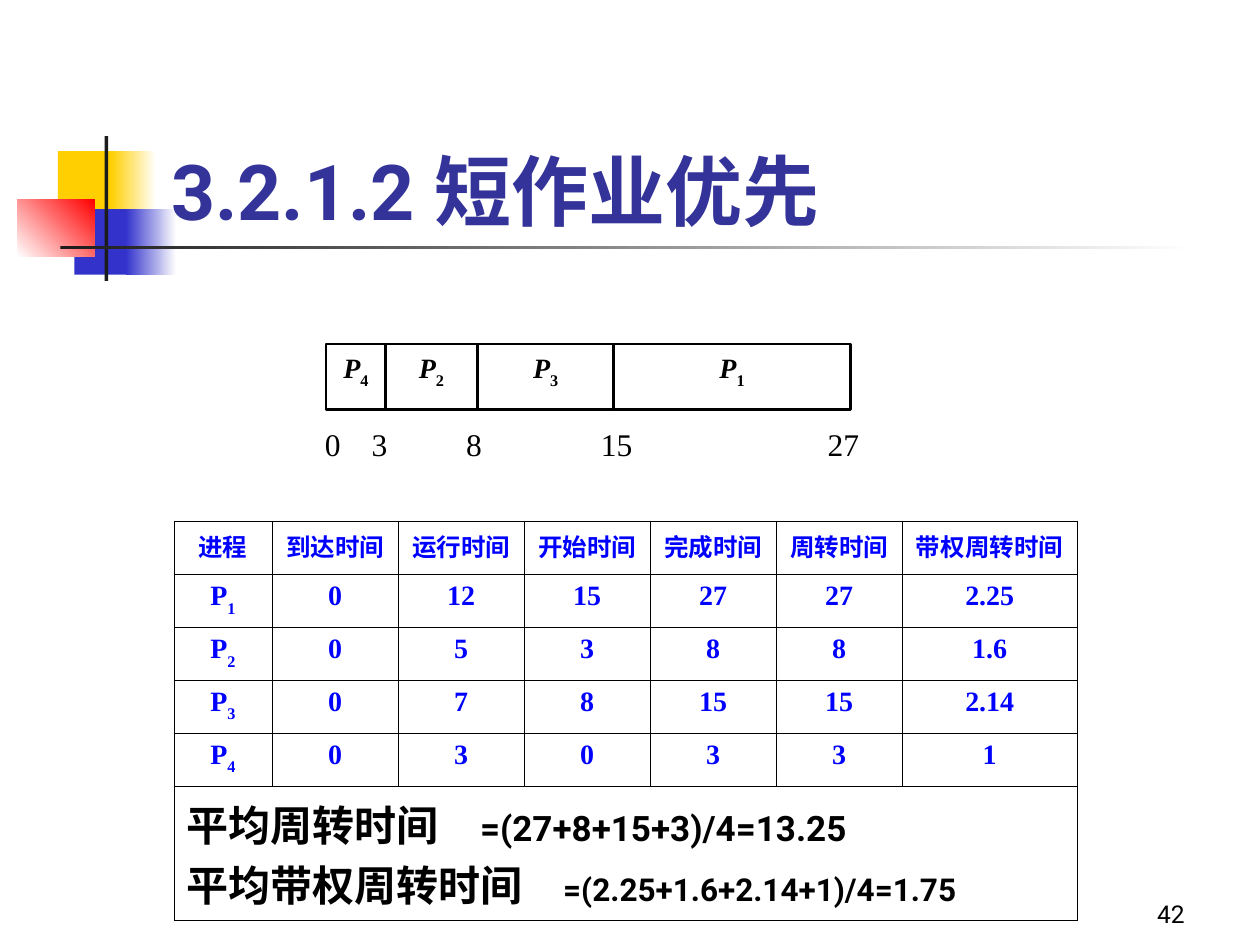
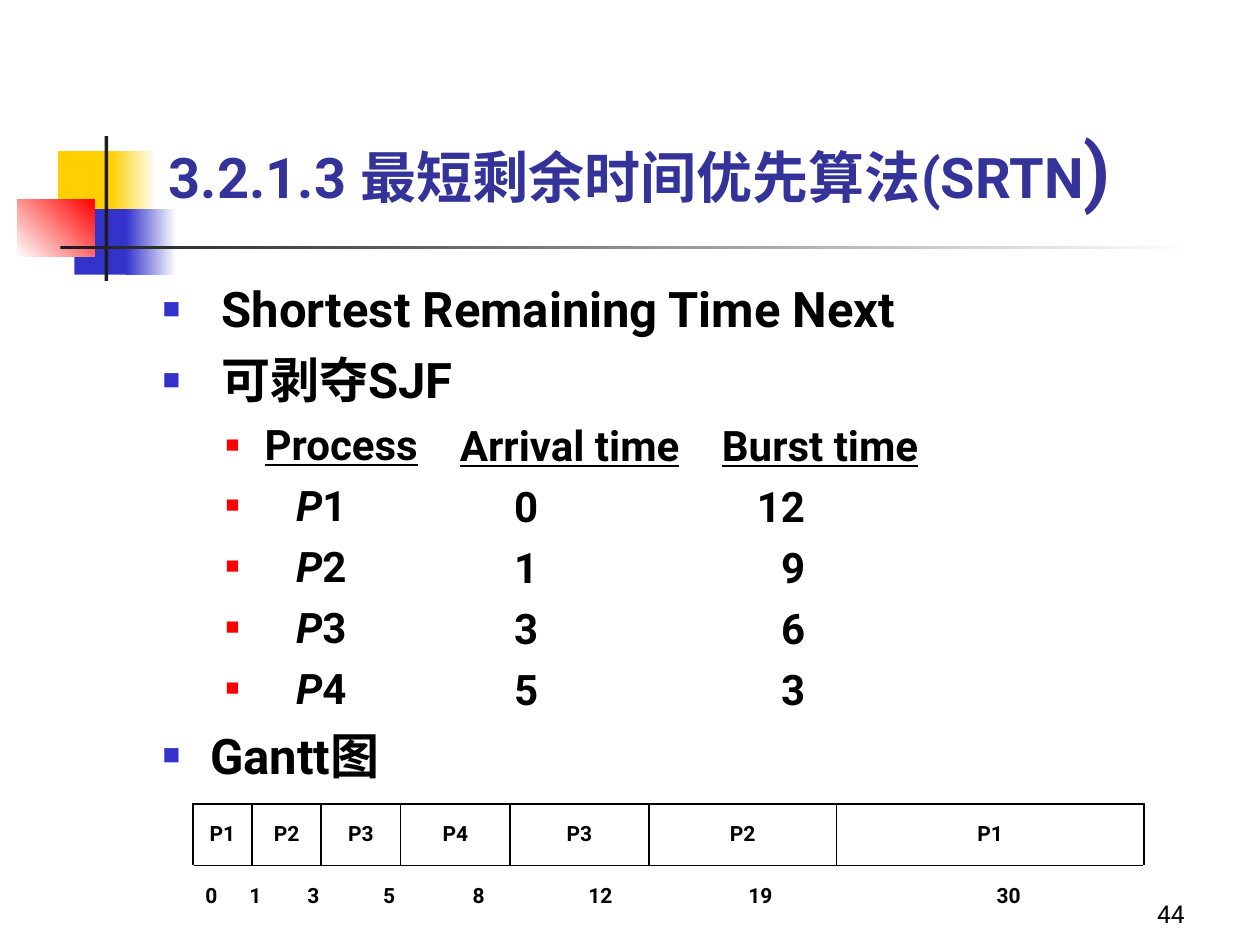
import pptx
import pptx.util
import pptx.dml.color
import pptx.enum.text
import pptx.enum.shapes
import pptx.oxml
import pptx.oxml.ns
from pptx.util import Inches, Pt

BLACK, WHITE, NAVY, BLUE = "000000", "FFFFFF", "333399", "0000FF"
INDIGO, RED, YELLOW, CHARCOAL = "3333CC", "FF0000", "FFCF01", "1C1C1C"
SANS, SERIF = "Roboto", "Times New Roman"
ALIGN = pptx.enum.text.PP_ALIGN
ANCHOR = pptx.enum.text.MSO_ANCHOR

DECORATION = [
    ((0.46, 1.2, 0.48, 0.52), [YELLOW], 0),
    ((0.88, 1.2, 0.36, 0.52), [YELLOW, WHITE], 0),
    ((0.59, 1.66, 0.46, 0.52), [INDIGO], 0),
    ((1, 1.66, 0.4, 0.52), [INDIGO, WHITE], 0),
    ((0.14, 1.58, 0.61, 0.46), [WHITE, RED], 45),
    ((0.83, 1.08, 0.03, 1.15), [CHARCOAL], 0),
    ((0.48, 1.95, 9, 0.03), [CHARCOAL, WHITE], 0),
]

SJF_TITLE = [("3.2.1.2 短作业优先", {"size": 44})]
SJF_GANTT = ["4", "2", "3", "1"]
SJF_GANTT_EDGES = [2.59, 3.06, 3.79, 4.87, 6.75]
SJF_TIMES = ["0", "3", "8", "15", "27"]
SJF_TIME_TABS = [0.37, 1.12, 2.19, 3.99]
SJF_COLUMNS = [0.78, 1, 1, 1, 1, 1, 1.39]
SJF_HEADER = ["进程", "到达时间", "运行时间", "开始时间", "完成时间", "周转时间", "带权周转时间"]
SJF_ROWS = [
    ["1", "0", "12", "15", "27", "27", "2.25"],
    ["2", "0", "5", "3", "8", "8", "1.6"],
    ["3", "0", "7", "8", "15", "15", "2.14"],
    ["4", "0", "3", "0", "3", "3", "1"],
]
SJF_AVERAGES = [
    ("平均周转时间", "=(27+8+15+3)/4=13.25", 20, 2.33),
    ("平均带权周转时间", "=(2.25+1.6+2.14+1)/4=1.75", 18, 2.99),
]

SRTN_TITLE = [("3.2.1.3 最短剩余时间优先算法(SRTN", {"size": 32}), (")", {"size": 44})]
SRTN_LIST = [
    (0, 0.47, [("Shortest Remaining Time Next", {})]),
    (0, 0.47, [("可剥夺SJF", {})]),
    (1, 0.81, [("Process", {"underline": True})]),
    *[(1, 1.06, [("P", {"italic": True}), (number, {})]) for number in "1234"],
    (0, 0.38, [("Gantt图", {})]),
]
LIST_LEVELS = [
    {"size": 28, "bullet": 0, "color": INDIGO, "scale": 60, "before": 7},
    {"size": 24, "bullet": 0.5, "color": RED, "scale": 55, "before": 6},
]
SRTN_TIMES_HEADER = ["Arrival time", "Burst time"]
SRTN_TIMES = [("0", "12"), ("1", "9"), ("3", "6"), ("5", "3")]
SRTN_GANTT = ["P1", "P2", "P3", "P4", "P3", "P2", "P1"]
SRTN_COLUMNS = [0.47, 0.55, 0.63, 0.87, 1.1, 1.49, 2.44]
SRTN_MARKS = ["0", "1", "3", "5", "8", "12", "19", "30"]
SRTN_MARK_TABS = [0.35, 0.81, 1.41, 2.12, 3.04, 4.31, 6.28]


def rgb(color):
    return pptx.dml.color.RGBColor.from_string(color)


def element(xml):
    return pptx.oxml.parse_xml(xml.replace(" ", f' {pptx.oxml.ns.nsdecls("a")} ', 1))


def place(shape, box):
    shape.left, shape.top, shape.width, shape.height = map(Inches, box)


def write(paragraph, runs, size, font=SANS, color=BLACK, bold=True):
    for text, style in runs:
        run = paragraph.add_run()
        run.text = text
        run.font.name = font
        run.font.size = Pt(style.get("size", size))
        run.font.bold = bold
        run.font.italic = style.get("italic", False)
        run.font.underline = style.get("underline", False)
        run.font.color.rgb = rgb(color)
        if style.get("subscript"):
            run.font._element.set("baseline", "-30000")


def process_runs(number, italic=False):
    return [("P", {"italic": italic}), (number, {"subscript": True})]


def set_tabs(paragraph, stops):
    tabs = "".join(f'<a:tab pos="{Inches(at)}" algn="{side}"/>' for at, side in stops)
    paragraph._p.get_or_add_pPr().append(element(f"<a:tabLst >{tabs}</a:tabLst>"))


def left_tabs(positions):
    return [(position, "l") for position in positions]


def set_bullet(paragraph, margin, level):
    properties = paragraph._p.get_or_add_pPr()
    properties.set("marL", str(Inches(margin)))
    properties.set("indent", str(Inches(level["bullet"] - margin)))
    properties.append(element(f'<a:buClr ><a:srgbClr val="{level["color"]}"/></a:buClr>'))
    properties.append(element(f'<a:buSzPct val="{level["scale"]}000"/>'))
    properties.append(element('<a:buChar char="■"/>'))


def set_insets(text_frame, horizontal, vertical):
    text_frame.margin_left = text_frame.margin_right = Inches(horizontal)
    text_frame.margin_top = text_frame.margin_bottom = Inches(vertical)


def paragraph_at(text_frame, index):
    return text_frame.add_paragraph() if index else text_frame.paragraphs[0]


def add_rectangle(slide, box, colors, angle=0):
    shape = slide.shapes.add_shape(pptx.enum.shapes.MSO_SHAPE.RECTANGLE, *map(Inches, box))
    shape.shadow.inherit = False
    shape.line.fill.background()
    if len(colors) == 1:
        shape.fill.solid()
        shape.fill.fore_color.rgb = rgb(colors[0])
    else:
        shape.fill.gradient()
        shape.fill.gradient_angle = angle
        for stop, color in zip(shape.fill.gradient_stops, colors):
            stop.color.rgb = rgb(color)
    return shape


def add_text_rectangle(slide, box, line_color, line_width, inset, alignment):
    shape = add_rectangle(slide, box, [WHITE])
    shape.line.color.rgb = rgb(line_color)
    shape.line.width = Pt(line_width)
    set_insets(shape.text_frame, 0.1, inset)
    shape.text_frame.vertical_anchor = ANCHOR.TOP
    shape.text_frame.paragraphs[0].alignment = alignment
    return shape.text_frame.paragraphs[0]


def add_text_box(slide, box, inset):
    text_frame = slide.shapes.add_textbox(*map(Inches, box)).text_frame
    text_frame.word_wrap = True
    set_insets(text_frame, *inset)
    return text_frame


def decorate_master(presentation, slide):
    for box, colors, angle in DECORATION:
        shape = add_rectangle(slide, box, colors, angle)
        presentation.slide_master.shapes._spTree.append(shape._element)


def set_title(slide, runs, box, inset=(0.1, 0.05)):
    title = slide.shapes.title
    place(title, box)
    text_frame = title.text_frame
    set_insets(text_frame, *inset)
    text_frame.auto_size = pptx.enum.text.MSO_AUTO_SIZE.NONE
    text_frame.vertical_anchor = ANCHOR.BOTTOM
    text_frame.paragraphs[0].alignment = ALIGN.LEFT
    write(text_frame.paragraphs[0], runs, 44, color=NAVY)


def add_page_number(slide, number):
    text_frame = add_text_box(slide, (7.42, 6.92, 2.08, 0.5), (0.1, 0.05))
    text_frame.vertical_anchor = ANCHOR.BOTTOM
    text_frame.paragraphs[0].alignment = ALIGN.RIGHT
    write(text_frame.paragraphs[0], [(number, {})], 14, bold=False)


def set_borders(cell, widths):
    properties = cell._tc.get_or_add_tcPr()
    for side in "LRTB":
        if side in widths:
            properties.append(element(
                f'<a:ln{side} w="{Pt(widths[side])}"><a:solidFill><a:srgbClr val="{BLACK}"/>'
                f"</a:solidFill></a:ln{side}>"))


def add_grid(slide, left, top, columns, rows, borders):
    frame = slide.shapes.add_table(len(rows), len(columns), Inches(left), Inches(top),
                                   Inches(sum(columns)), Inches(sum(rows)))
    table = frame.table
    table.first_row = table.horz_banding = False
    for column, width in zip(table.columns, columns):
        column.width = Inches(width)
    for row, height, widths in zip(table.rows, rows, borders):
        row.height = Inches(height)
        for cell in row.cells:
            set_borders(cell, widths)
            cell.fill.background()
    last = len(rows) - 1
    table.cell(last, 0).merge(table.cell(last, len(columns) - 1))
    return table


def build_sjf(slide):
    set_title(slide, SJF_TITLE, (1.26, 0.67, 8.52, 1.25))
    times = add_text_rectangle(slide, (2.48, 3.36, 4.49, 0.36), WHITE, 0.75, 0.01, ALIGN.LEFT)
    set_tabs(times, left_tabs(SJF_TIME_TABS))
    write(times, [("\t".join(SJF_TIMES), {})], 18, SERIF, bold=False)
    for number, start, end in zip(SJF_GANTT, SJF_GANTT_EDGES, SJF_GANTT_EDGES[1:]):
        label = add_text_rectangle(slide, (start, 2.73, end - start, 0.52), BLACK, 1.25, 0.05,
                                   ALIGN.CENTER)
        write(label, process_runs(number, italic=True), 16, SERIF)

    thin, thick = 0.45, 0.96
    sides = {"L": thin, "R": thin}
    edges = [thick, thick, thin, thin, thin, thin, thick]
    borders = [{**sides, "T": above, "B": below} for above, below in zip(edges, edges[1:])]
    table = add_grid(slide, 1.38, 4.14, SJF_COLUMNS, [0.42] * 5 + [0.9], borders)
    for row_index, values in enumerate([SJF_HEADER] + SJF_ROWS):
        for column_index, value in enumerate(values):
            paragraph = table.cell(row_index, column_index).text_frame.paragraphs[0]
            paragraph.alignment = ALIGN.CENTER
            is_process = row_index and not column_index
            runs = process_runs(value) if is_process else [(value, {})]
            write(paragraph, runs, 16 if row_index else 14, SERIF, BLUE)
    averages = table.cell(5, 0).text_frame
    for index, (name, formula, size, tab) in enumerate(SJF_AVERAGES):
        paragraph = paragraph_at(averages, index)
        set_tabs(paragraph, left_tabs([tab]))
        write(paragraph, [(name + "\t", {}), (formula, {"size": size})], 24)
    add_page_number(slide, "42")


def build_srtn(slide):
    set_title(slide, SRTN_TITLE, (1.34, 0.97, 7.72, 0.73), (0, 0))
    body = slide.placeholders[1]
    place(body, (1.29, 2.21, 7.72, 4.01))
    set_insets(body.text_frame, 0, 0)
    body.text_frame.auto_size = pptx.enum.text.MSO_AUTO_SIZE.NONE
    for index, (depth, margin, runs) in enumerate(SRTN_LIST):
        level = LIST_LEVELS[depth]
        paragraph = paragraph_at(body.text_frame, index)
        paragraph.level = depth
        set_bullet(paragraph, margin, level)
        paragraph.space_before = Pt(level["before"] if index else 0)
        write(paragraph, runs, level["size"])

    times = add_text_box(slide, (3.65, 3.33, 4, 2.4), (0, 0))
    arrival, burst = [(name, {"underline": True}) for name in SRTN_TIMES_HEADER]
    set_tabs(times.paragraphs[0], left_tabs([2.08]))
    write(times.paragraphs[0], [arrival, ("\t", {}), burst], 24)
    for arrival_time, burst_time in SRTN_TIMES:
        paragraph = times.add_paragraph()
        set_tabs(paragraph, [(0.43, "l"), (2.74, "r")])
        paragraph.space_before = Pt(LIST_LEVELS[1]["before"])
        write(paragraph, [(f"\t{arrival_time}\t{burst_time}", {})], 24)

    borders = [dict.fromkeys("LRTB", 1.08), {"T": 1.08}]
    table = add_grid(slide, 1.53, 6.38, SRTN_COLUMNS, [0.49, 0.51], borders)
    for column_index, process in enumerate(SRTN_GANTT):
        cell = table.cell(0, column_index)
        cell.vertical_anchor = ANCHOR.MIDDLE
        cell.text_frame.paragraphs[0].alignment = ALIGN.CENTER
        write(cell.text_frame.paragraphs[0], [(process, {})], 12)
    cell = table.cell(1, 0)
    cell.vertical_anchor = ANCHOR.MIDDLE
    marks = cell.text_frame.paragraphs[0]
    set_tabs(marks, left_tabs(SRTN_MARK_TABS))
    marks.line_spacing = 0.8
    write(marks, [("\t".join(SRTN_MARKS), {})], 12)
    add_page_number(slide, "44")


def main():
    presentation = pptx.Presentation()
    presentation.slide_width, presentation.slide_height = Inches(10), Inches(7.5)
    sjf_slide = presentation.slides.add_slide(presentation.slide_layouts[5])
    srtn_slide = presentation.slides.add_slide(presentation.slide_layouts[1])
    decorate_master(presentation, sjf_slide)
    build_sjf(sjf_slide)
    build_srtn(srtn_slide)
    presentation.save("out.pptx")


if __name__ == "__main__":
    main()
